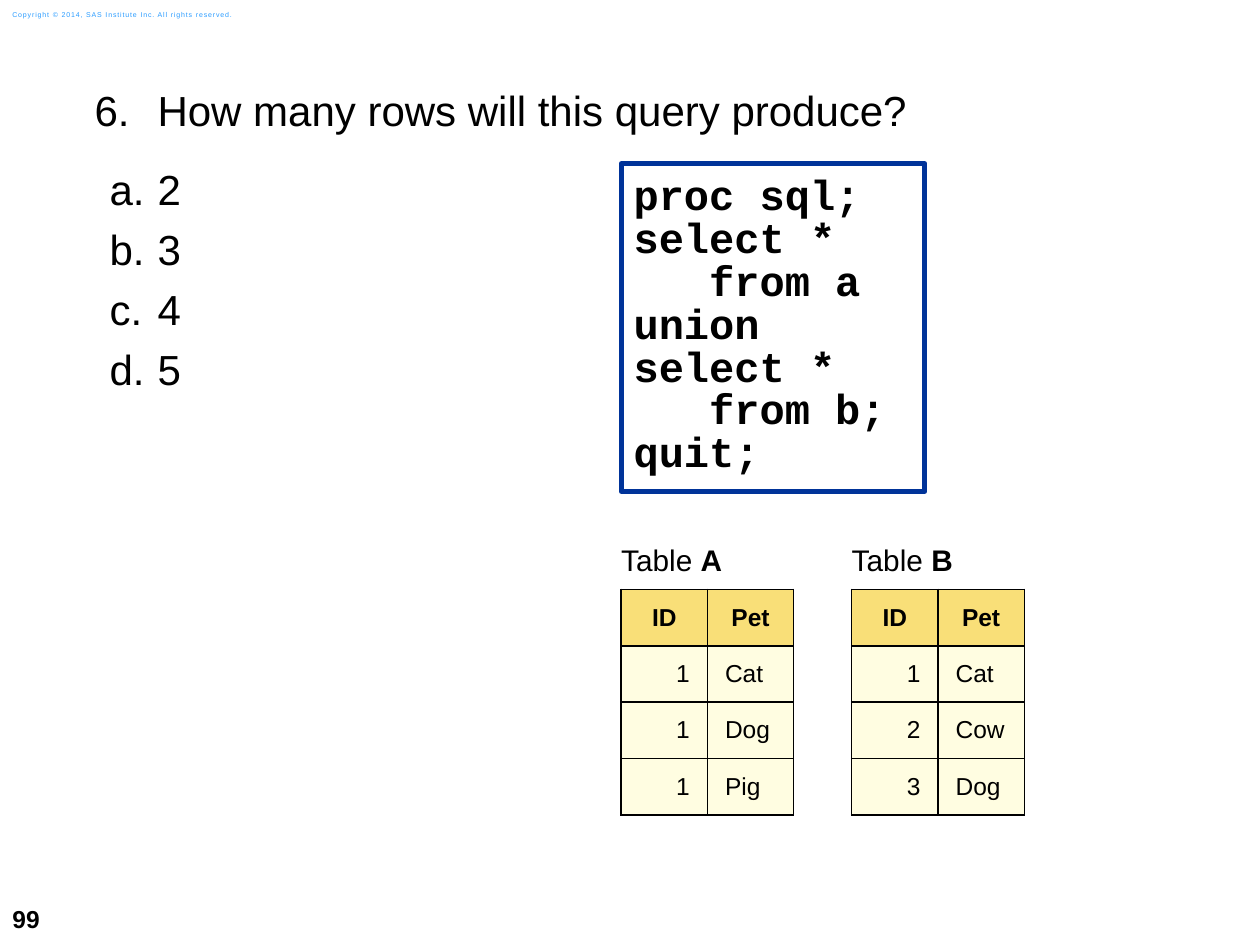
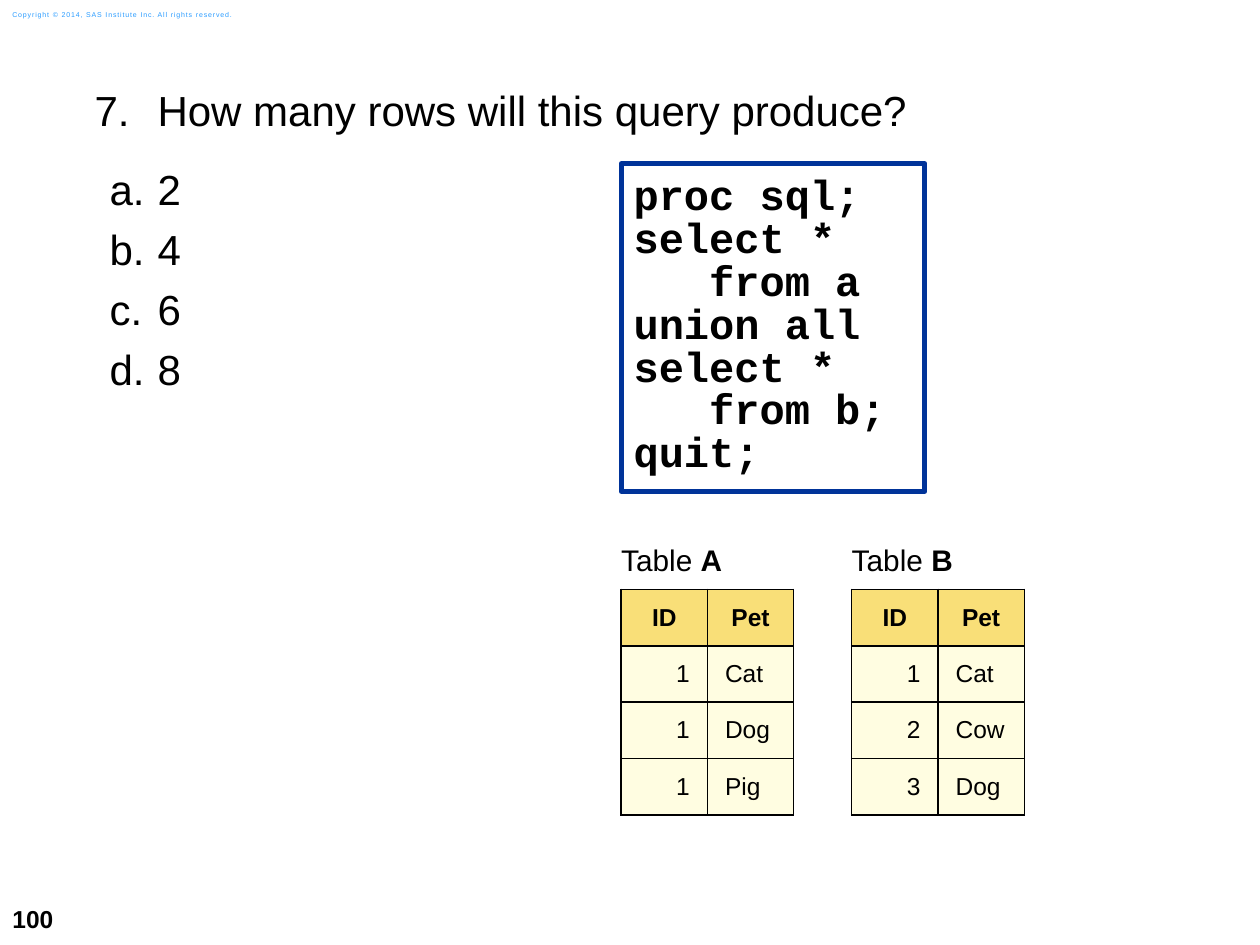
import pptx
import pptx.dml.color
import pptx.enum.shapes
import pptx.enum.text
import pptx.oxml.ns
import pptx.oxml.xmlchemy
import pptx.util
from lxml import etree

Inches = pptx.util.Inches
Pt = pptx.util.Pt
RGB = pptx.dml.color.RGBColor
Align = pptx.enum.text.PP_ALIGN
Anchor = pptx.enum.text.MSO_ANCHOR
qn = pptx.oxml.ns.qn

# Shared colours, fonts and texts
BLACK = RGB(0x00, 0x00, 0x00)
WHITE = RGB(0xFF, 0xFF, 0xFF)
NAVY = RGB(0x00, 0x33, 0x99)
SKY = RGB(0x2A, 0x9C, 0xFF)
GOLD = RGB(0xF9, 0xDF, 0x78)
CREAM = RGB(0xFF, 0xFD, 0xE1)
SANS = "Arial"
MONO = "Courier New"
PLAIN = "{2D5ABB26-0587-4C30-8999-92F81FD0307C}"
NOTICE = "Copyright © 2014, SAS Institute Inc. All rights reserved."
ASK = "How many rows will this query produce?"
CODE = """proc sql;
select *
   from a
{joint}
select *
   from b;
quit;"""

# Table name, left edge and rows
PETS = [
    ("A", 4.93, [("1", "Cat"), ("1", "Dog"), ("1", "Pig")]),
    ("B", 6.76, [("1", "Cat"), ("2", "Cow"), ("3", "Dog")]),
]

# Page, question number, set operator and answers
QUIZ = [
    (99, 6, "union", "2345"),
    (100, 7, "union all", "2468"),
]


def put(par, text, size=24, bold=False, color=BLACK, face=SANS,
        align=Align.LEFT, track=0):
    """Add a formatted run to a paragraph."""
    par.alignment = align
    run = par.add_run()
    run.text = text
    font = run.font
    font.size, font.bold, font.name = Pt(size), bold, face
    font.color.rgb = color
    if track:
        run._r.get_or_add_rPr().set("spc", str(track))


def inset(frame, left, top, right, bottom):
    frame.margin_left, frame.margin_top = Inches(left), Inches(top)
    frame.margin_right, frame.margin_bottom = Inches(right), Inches(bottom)


def label(slide, text, left, top, width, height, **form):
    box = slide.shapes.add_textbox(
        Inches(left), Inches(top), Inches(width), Inches(height))
    frame = box.text_frame
    frame.word_wrap = True
    frame.vertical_anchor = Anchor.MIDDLE
    put(frame.paragraphs[0], text, **form)


def number(par, kind, hang, start=1):
    """Give a paragraph an automatic number in a hanging indent."""
    props = par._p.get_or_add_pPr()
    props.set("marL", str(Inches(0.5)))
    props.set("indent", str(-Inches(hang)))
    tint = etree.SubElement(props, qn("a:buClr"))
    etree.SubElement(tint, qn("a:srgbClr"), val=str(BLACK))
    mark = etree.SubElement(props, qn("a:buAutoNum"), type=kind)
    if start > 1:
        mark.set("startAt", str(start))


def question(slide, start, picks):
    body = slide.placeholders[1]
    body.left, body.top = Inches(0.75), Inches(0.67)
    body.width, body.height = Inches(8.58), Inches(4.67)
    frame = body.text_frame
    frame.auto_size = pptx.enum.text.MSO_AUTO_SIZE.NONE
    frame.vertical_anchor = Anchor.TOP
    inset(frame, 0, 0, 0, 0)
    par = frame.paragraphs[0]
    number(par, "arabicPeriod", 0.5, start)
    par.space_before, par.space_after = Pt(0), Pt(5.3)
    put(par, ASK)
    for i, pick in enumerate(picks):
        par = frame.add_paragraph()
        par.level = 1
        number(par, "alphaLcPeriod", 0.38)
        par.space_before = Pt(0.2 if i else 11)
        par.space_after = Pt(5.3)
        put(par, pick)


def listing(slide, code):
    box = slide.shapes.add_shape(
        pptx.enum.shapes.MSO_SHAPE.RECTANGLE,
        Inches(4.93), Inches(1.3), Inches(2.41), Inches(2.6))
    box.shadow.inherit = False
    box.fill.solid()
    box.fill.fore_color.rgb = WHITE
    box.line.color.rgb = NAVY
    box.line.width = Pt(3)
    frame = box.text_frame
    frame.word_wrap = False
    frame.vertical_anchor = Anchor.TOP
    inset(frame, 0.1, 0.1, 0.29, 0.1)
    for i, line in enumerate(code.splitlines()):
        par = frame.add_paragraph() if i else frame.paragraphs[0]
        par.line_spacing = 0.85
        put(par, line, bold=True, face=MONO)


def border(cell, sides):
    """Draw black lines on the given sides (of L, R, T, B) only."""
    props = cell._tc.get_or_add_tcPr()
    for side in "LRTB":
        edge = etree.SubElement(props, qn(f"a:ln{side}"), w=str(Pt(1)))
        if side in sides:
            fill = etree.SubElement(edge, qn("a:solidFill"))
            etree.SubElement(fill, qn("a:srgbClr"), val=str(BLACK))
        else:
            etree.SubElement(edge, qn("a:noFill"))


def dress(cell, sides="LRTB", left=0.14, fill=None):
    cell.vertical_anchor = Anchor.MIDDLE
    inset(cell, left, 0, 0.14, 0)
    border(cell, sides)
    if fill:
        cell.fill.solid()
        cell.fill.fore_color.rgb = fill
    else:
        cell.fill.background()
    return cell.text_frame.paragraphs[0]


def grid(slide, name, left, rows):
    high = Inches(2.24)
    count = len(rows) + 2
    table = slide.shapes.add_table(
        count, 2, Inches(left), Inches(4.23), Inches(1.37), high).table
    table._tbl.tblPr.find(qn("a:tableStyleId")).text = PLAIN
    table.first_row = table.horz_banding = False
    for row in table.rows:
        row.height = high // count

    # Caption row
    table.cell(0, 0).merge(table.cell(0, 1))
    par = dress(table.cell(0, 0), sides="B", left=0)
    put(par, "Table ", size=17)
    put(par, name, size=17, bold=True)
    dress(table.cell(0, 1), sides="B")

    # Header and data rows
    for r, row in enumerate([("ID", "Pet")] + rows):
        head = r == 0
        for c, text in enumerate(row):
            par = dress(table.cell(r + 1, c), fill=GOLD if head else CREAM)
            side = Align.CENTER if head else (Align.RIGHT, Align.LEFT)[c]
            put(par, text, size=14, bold=head, align=side)


def main():
    deck = pptx.Presentation()
    deck.slide_width, deck.slide_height = Inches(10), Inches(7.5)
    for page, start, joint, picks in QUIZ:
        slide = deck.slides.add_slide(deck.slide_layouts[1])
        title = slide.shapes.title._element
        title.getparent().remove(title)
        # Page number and notice
        label(slide, str(page), 0, 7.08, 0.58, 0.42, size=14, bold=True)
        label(slide, NOTICE, 0, 0.03, 2.11, 0.17, size=4, color=SKY, track=50)
        # Question, query and its tables
        question(slide, start, picks)
        listing(slide, CODE.format(joint=joint))
        for name, left, rows in PETS:
            grid(slide, name, left, rows)
    deck.save("out.pptx")


if __name__ == "__main__":
    main()
